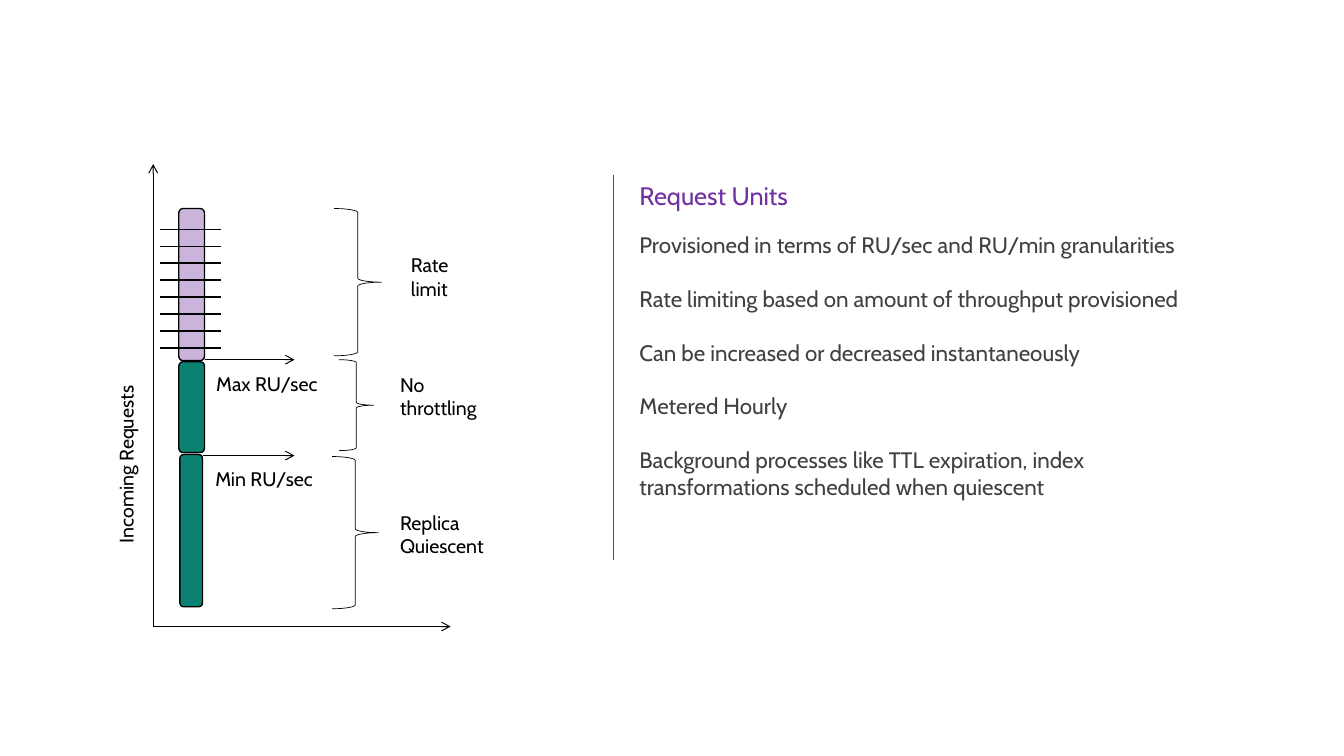
from dataclasses import dataclass

from lxml import etree
from pptx import Presentation, util as u
from pptx.dml.color import RGBColor
from pptx.enum import shapes, text
from pptx.oxml import ns

WIDTH, HEIGHT = u.Inches(13.6), u.Inches(7.65)
COLUMN, ROW = WIDTH / 136, HEIGHT / 76.5


@dataclass(frozen=True)
class Theme:
    font: str = "Cabin"
    purple: str = "7030A0"
    lilac: str = "CBB4DC"
    green: str = "0B8172"
    black: str = "000000"
    grey: str = "404040"
    heading: float = 18.4
    body: float = 16.3
    label: float = 14.3
    body_gap: float = 19.6
    thin: float = 0.5
    axis: float = 0.75
    outline: float = 1


THEME = Theme()
POINTS = (
    "Provisioned in terms of RU/sec and RU/min granularities",
    "Rate limiting based on amount of throughput provisioned",
    "Can be increased or decreased instantaneously",
    "Metered Hourly",
    "Background processes like TTL expiration, index transformations scheduled when quiescent",
)
BARS = (
    ((18.1, 36.6, 2.6, 9.2), THEME.green),
    ((18.2, 46, 2.3, 15.4), THEME.green),
    ((18.1, 21.1, 2.6, 15.4), THEME.lilac),
)
BRACES = (
    (33.8, 21.1, 4.8, 14.9),
    (34.3, 36.4, 3.5, 9.2),
    (33.6, 46.2, 4.7, 15.4),
)
ARROWS = (
    ((15.5, 63.4), (15.5, 16.6)),
    ((15.5, 63.4), (45.6, 63.4)),
    ((20.7, 36.4), (29.8, 36.4)),
    ((20.5, 46.1), (29.8, 46.1)),
)
LABELS = (
    ("Max RU/sec", (20.9, 37.1, 17.6, 3.5), 0),
    ("Min RU/sec", (20.8, 46.8, 17.5, 3.5), 0),
    ("Incoming Requests", (-0.3, 41.1, 26.2, 3.5), 270),
    ("Rate\nlimit", (40.6, 25.1, 9.9, 5.9), 0),
    ("No\nthrottling", (39.5, 37.2, 14.5, 5.9), 0),
    ("Replica\nQuiescent", (39.5, 51.2, 15.3, 5.9), 0),
)
TICK_COUNT, TICK_TOP, TICK_BOTTOM = 8, 23.2, 35.2


def cells(left, top, width, height):
    return [round(n) for n in (left * COLUMN, top * ROW, width * COLUMN, height * ROW)]


def add_run(paragraph, words, size, color):
    run = paragraph.add_run()
    run.text = words
    run.font.name = THEME.font
    run.font.size = u.Pt(size)
    run.font.color.rgb = RGBColor.from_string(color)


def prepare_frame(shape):
    frame = shape.text_frame
    frame.word_wrap = True
    frame.auto_size = text.MSO_AUTO_SIZE.NONE
    frame.vertical_anchor = text.MSO_ANCHOR.TOP
    return frame


def fill_placeholder(shape, area, lines, size, color):
    shape.left, shape.top, shape.width, shape.height = cells(*area)
    frame = prepare_frame(shape)
    for index, line in enumerate(lines):
        paragraph = frame.add_paragraph() if index else frame.paragraphs[0]
        properties = paragraph._p.get_or_add_pPr()
        properties.set("marL", "0")
        properties.set("indent", "0")
        etree.SubElement(properties, ns.qn("a:buNone"))
        paragraph.alignment = text.PP_ALIGN.LEFT
        paragraph.space_before = u.Pt(THEME.body_gap if index else 0)
        paragraph.space_after = u.Pt(0)
        add_run(paragraph, line, size, color)


def add_label(slide, words, area, rotation):
    box = slide.shapes.add_textbox(*cells(*area))
    box.rotation = rotation
    paragraph = prepare_frame(box).paragraphs[0]
    for index, line in enumerate(words.split("\n")):
        if index:
            paragraph.add_line_break()
        add_run(paragraph, line, THEME.label, THEME.black)


def add_shape(slide, kind, area, weight, fill=None, rotation=0):
    shape = slide.shapes.add_shape(kind, *cells(*area))
    shape.shadow.inherit = False
    shape.rotation = rotation
    shape.line.color.rgb = RGBColor.from_string(THEME.black)
    shape.line.width = u.Pt(weight)
    if fill:
        shape.fill.solid()
        shape.fill.fore_color.rgb = RGBColor.from_string(fill)
    else:
        shape.fill.background()


def add_line(slide, start, end, weight, color=THEME.black, arrow=False):
    connector = slide.shapes.add_connector(
        shapes.MSO_CONNECTOR.STRAIGHT, *cells(*start, *end)
    )
    connector.line.color.rgb = RGBColor.from_string(color)
    connector.line.width = u.Pt(weight)
    properties = connector._element.spPr
    if arrow:
        outline = properties.find(ns.qn("a:ln"))
        etree.SubElement(outline, ns.qn("a:tailEnd"), type="arrow")
    etree.SubElement(properties, ns.qn("a:effectLst"))


def add_request_diagram(slide):
    for area, fill in BARS:
        add_shape(slide, shapes.MSO_SHAPE.ROUNDED_RECTANGLE, area, THEME.outline, fill)
    for area in BRACES:
        add_shape(slide, shapes.MSO_SHAPE.LEFT_BRACE, area, THEME.thin, rotation=180)
    for start, end in ARROWS:
        add_line(slide, start, end, THEME.axis, arrow=True)
    tick_gap = (TICK_BOTTOM - TICK_TOP) / (TICK_COUNT - 1)
    for index in range(TICK_COUNT):
        row = TICK_TOP + index * tick_gap
        add_line(slide, (16.2, row), (22.4, row), THEME.outline)
    for label in LABELS:
        add_label(slide, *label)


def main():
    presentation = Presentation()
    presentation.slide_width, presentation.slide_height = WIDTH, HEIGHT
    slide = presentation.slides.add_slide(presentation.slide_layouts[1])
    title, body = slide.placeholders
    fill_placeholder(
        title, (63.7, 17.7, 47.7, 4.2), ["Request Units"], THEME.heading, THEME.purple
    )
    fill_placeholder(body, (63.7, 22.9, 60.6, 34.6), POINTS, THEME.body, THEME.grey)
    add_line(slide, (62.1, 17.7), (62.1, 56.7), THEME.outline, THEME.purple)
    add_request_diagram(slide)
    presentation.save("out.pptx")


if __name__ == "__main__":
    main()
